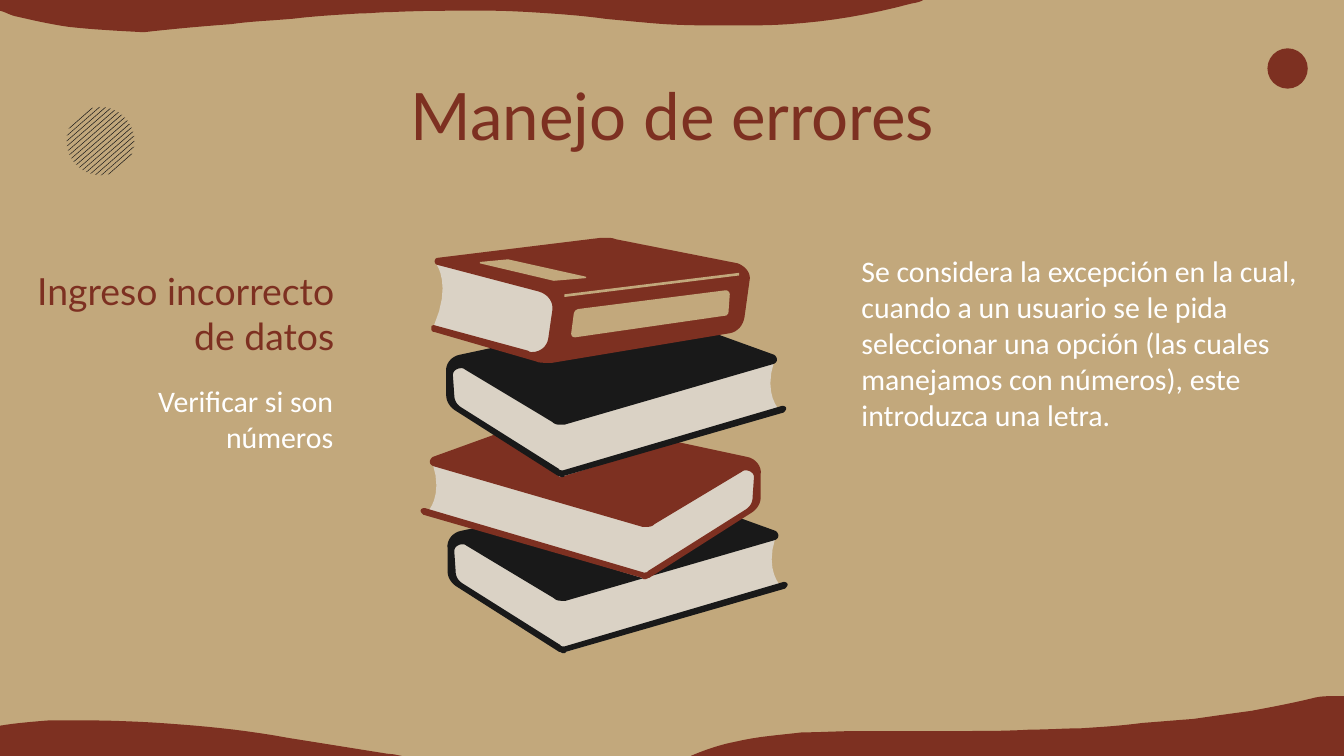
from math import sqrt
from pptx import Presentation
from pptx.dml.color import RGBColor
from pptx.enum.shapes import MSO_SHAPE
from pptx.enum.text import MSO_ANCHOR, MSO_AUTO_SIZE, PP_ALIGN
from pptx.util import Pt

COLORS = {"sand": "C2A87C", "red": "7D3021", "black": "191919", "paper": "DAD2C5", "white": "FFFFFF"}
UNIT = Pt(0.72)
CURVE_STEPS = 8


def write_text(box, text, *, size, font, color, align, bottom=0):
    frame = box.text_frame
    frame.word_wrap = True
    frame.auto_size = MSO_AUTO_SIZE.NONE
    frame.vertical_anchor = MSO_ANCHOR.MIDDLE
    frame.margin_left = frame.margin_right = frame.margin_top = 0
    frame.margin_bottom = Pt(bottom)
    para = frame.paragraphs[0]
    para.alignment = align
    span = para.add_run()
    span.text = text
    span.font.size = Pt(size)
    span.font.name = font
    span.font.color.rgb = RGBColor.from_string(COLORS[color])


def draw_outline(outline, color, shift_x=0, shift_y=0, flip=1):
    points = []
    for segment in outline.split(";"):
        values = [float(value) for value in segment.split()]
        ends = list(zip(values[::2], values[1::2]))
        if len(ends) == 1:
            points += ends
            continue
        start = points[-1]
        for step in range(1, CURVE_STEPS + 1):
            t = step / CURVE_STEPS
            weights = ((1 - t) ** 3, 3 * t * (1 - t) ** 2, 3 * t * t * (1 - t), t ** 3)
            points.append(tuple(
                sum(weight * point[axis] for weight, point in zip(weights, [start, *ends]))
                for axis in (0, 1)
            ))
    placed = [((flip * x + shift_x) * UNIT, (y + shift_y) * UNIT) for x, y in points]
    builder = page.shapes.build_freeform(*placed[0], scale=1.0)
    builder.add_line_segments(placed[1:], close=True)
    shape = builder.convert_to_shape()
    shape.shadow.inherit = False
    shape.fill.solid()
    shape.fill.fore_color.rgb = RGBColor.from_string(COLORS[color])
    shape.line.fill.background()


deck = Presentation()
deck.slide_width = Pt(720)
deck.slide_height = Pt(405)
page = deck.slides.add_slide(deck.slide_layouts[5])
page.background.fill.solid()
page.background.fill.fore_color.rgb = RGBColor.from_string(COLORS["sand"])

waves = [
    "107 24;88 23 69 22 51 20;37 18 24 15 11 12;7 11 4 9 0 8;0 0;687 0;"
    "684 2 681 2 677 3;647 11 617 16 587 18;573 19 559 19 545 19;522 19 502 19 482 17;"
    "471 16 460 15 450 14;436 12 423 11 409 10;394 9 378 8 363 8;331 8 312 8 292 9;"
    "284 9 276 10 268 10;235 12 226 13 218 14;193 16 186 16 172 18;145 20 125 22 107 24",
    "994 518;989 518 984 518 979 519;963 523 947 526 931 529;916 531 902 533 888 535;"
    "875 536 863 537 850 538;835 540 820 541 804 542;792 542 779 543 766 543;"
    "749 544 731 544 714 544;639 544;625 544 611 545 597 545;580 547 564 548 547 552;"
    "537 554 527 557 514 562.5;1000 562.5;1000 518",
    "0 562.5;0 540;12 538 25 537 37 536;58 536;83 536 108 537 133 539;"
    "160 541 187 544 214 549;239 553 264 557 289 561;293 561 296 562 299 562.5",
]
for wave in waves:
    draw_outline(wave, "red")

dot = page.shapes.add_shape(MSO_SHAPE.OVAL, Pt(679), Pt(25.9), Pt(21.6), Pt(21.6))
dot.shadow.inherit = False
dot.fill.solid()
dot.fill.fore_color.rgb = RGBColor.from_string(COLORS["red"])
dot.line.fill.background()

along_x, along_y = 0.76, -0.65
radius, gap, thickness = 25.5, 3, 0.35
for number in range(16):
    offset = (number - 7.5) * gap
    half = sqrt(radius ** 2 - offset ** 2)
    corners = [(-half, 0), (half - 1, -thickness), (half, 0), (1 - half, thickness)]
    stripe = ";".join(
        f"{74.8 + reach * along_x - (offset + side) * along_y:.2f} "
        f"{105 + reach * along_y + (offset + side) * along_x:.2f}"
        for reach, side in corners
    )
    draw_outline(stripe, "black")

write_text(page.shapes.title, "Manejo de errores", size=35, font="Lato", color="red", align=PP_ALIGN.CENTER)
title = page.shapes.title
title.left, title.top, title.width, title.height = Pt(56.9), Pt(42.5), Pt(607), Pt(37.4)

book_pages = "577 400;440 423;338 402;338 431;418 486;581 436;581 436 569 425 577 400"
book_cover = (
    "487 364;486 364 485 364 483 365;343 395;337 396 332 402 333 408;333 425;"
    "333 429 335 433 339 436;416 485;417 485 418 486 419 486;420 486 421 486 421 485;584 438;"
    "585 437 586 436 586 435;586 434 585 433 583 433;420 481;419 481 417 481 417 480;344 434;"
    "341 432 339 429 339 425;338 410;338 407 341 405 344 405;345 405 346 405 347 406;412 445;"
    "414 447 416 447 418 447;419 447 420 447 421 447;576 402;580 401 580 397 577 395;494 365;"
    "492 365 490 364 487 364"
)
books = [("black", 0, 0, 1), ("red", 899, -55, -1), ("black", -1, -131, 1)]
for color, shift_x, shift_y, flip in books:
    draw_outline(book_pages, "paper", shift_x, shift_y, flip)
    draw_outline(book_cover, color, shift_x, shift_y, flip)

top_book = [
    ("paper", "325 197;325 197 336 212 323 242;404 266;414 256;416 216"),
    ("red", "451 177;450 177 448 177 447 177;325 192;323 193 323 196 325 197;401 217;"
            "408 219 412 225 411 231;408 252;407 258 402 262 396 262;395 262 394 262 393 261;323 242;"
            "321 242 321 243 321 244;321 245 321 247 323 247;399 269;401 270 404 270 406 270;"
            "408 270 409 270 411 270;543 248;549 247 553 242 554 236;558 207;558 202 554 198 549 196;"
            "458 178;456 177 453 177 451 177"),
    ("sand", "378 193;357 195;357 196;412 209;436 207;436 206"),
    ("sand", "540 216;430 230;428 231 428 231 427 233;425 248;425 250 426 251 428 251;539 235;"
             "541 235 541 234 542 233;543 219;543 218 542 216 540 216"),
    ("sand", "550 203;420 219;420 221;550 205"),
]
for color, outline in top_book:
    draw_outline(outline, color)

texts = [
    ("Se considera la excepción en la cual, cuando a un usuario se le pida seleccionar una opción "
     "(las cuales manejamos con números), este introduzca una letra.",
     (461.5, 128.9, 236.9, 128.9),
     dict(size=16, font="Calibri", color="white", align=PP_ALIGN.LEFT, bottom=19.5)),
    ("Ingreso incorrecto de datos", (8.6, 153.4, 170.6, 28.8),
     dict(size=20, font="Lato", color="red", align=PP_ALIGN.RIGHT)),
    ("Verificar si son números", (24.5, 198, 154.1, 52.6),
     dict(size=16, font="Calibri", color="white", align=PP_ALIGN.RIGHT)),
]
for text, place, look in texts:
    box = page.shapes.add_textbox(*[Pt(length) for length in place])
    write_text(box, text, **look)

deck.save("out.pptx")
